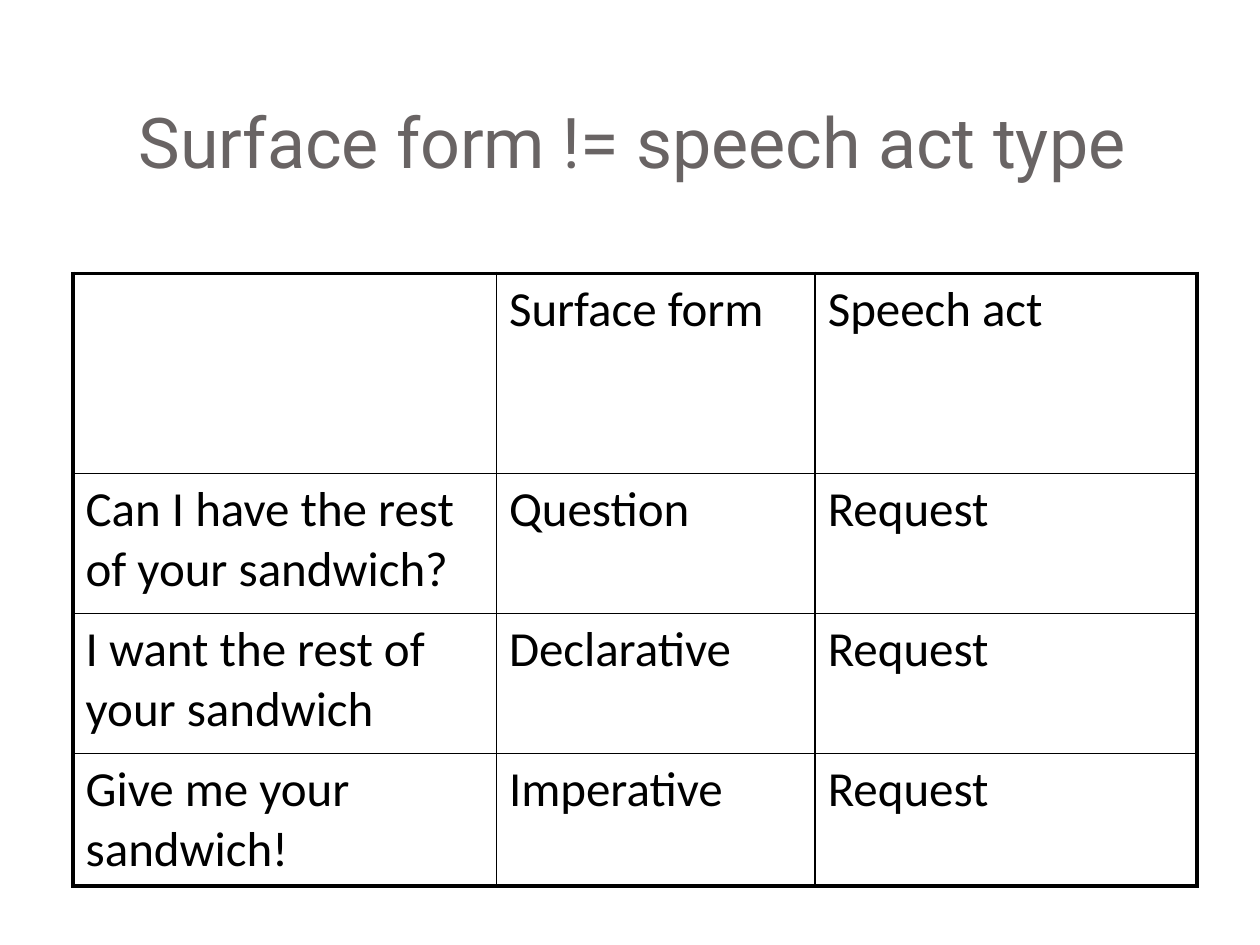
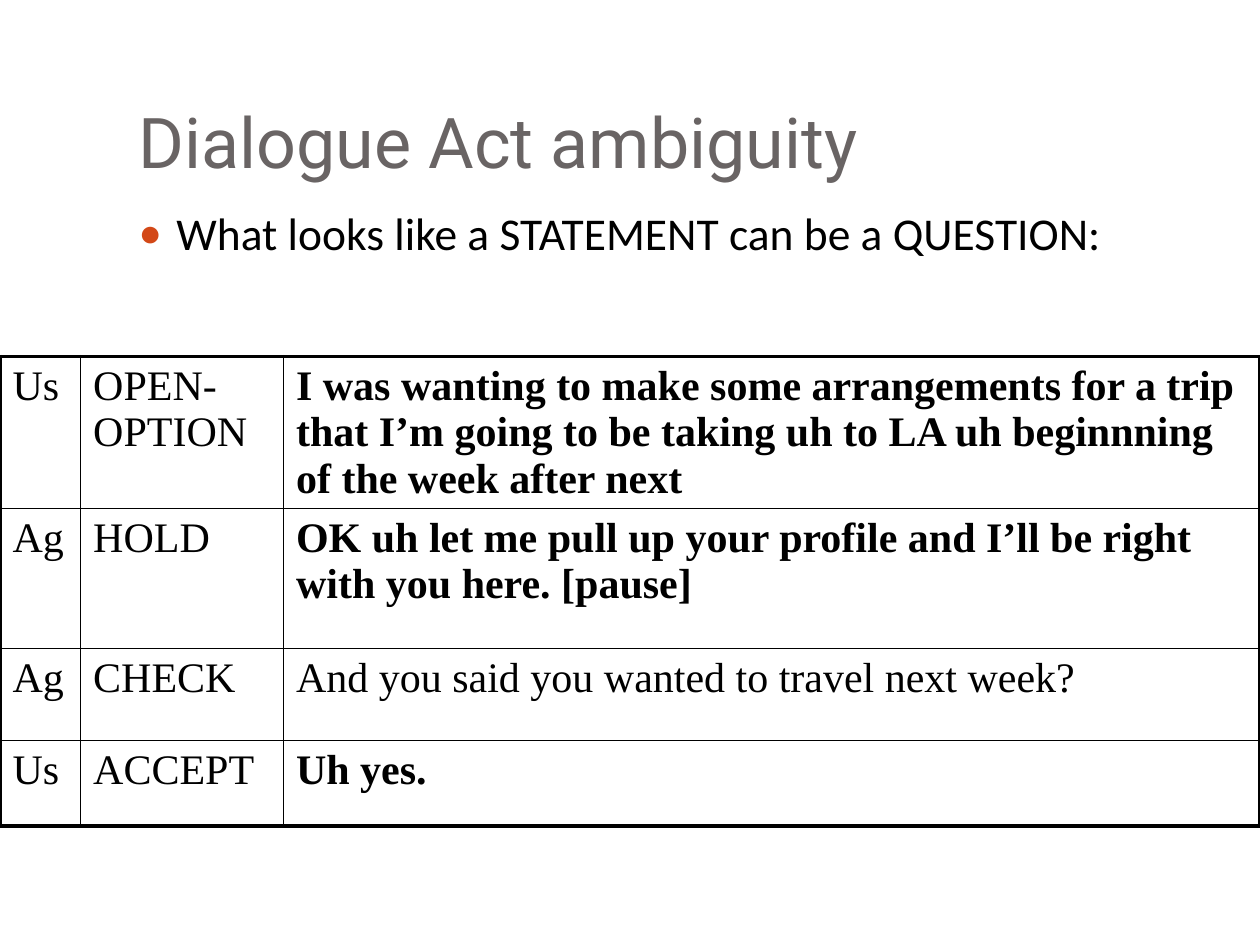
"""Build two slides on speech acts, each with a title and a ruled table."""
from lxml import etree
from pptx import Presentation
from pptx.dml.color import RGBColor
from pptx.enum.text import MSO_ANCHOR, MSO_AUTO_SIZE, PP_ALIGN
from pptx.oxml.ns import qn
from pptx.util import Inches, Pt

BLACK = RGBColor(0x00, 0x00, 0x00)
GREY = RGBColor(0x69, 0x64, 0x64)
ORANGE = RGBColor(0xD3, 0x48, 0x17)
TITLE_FONT, BODY_FONT, DIALOGUE_FONT = "Roboto", "Calibri", "Times New Roman"
LEFT, BOTTOM, NO_FIT = PP_ALIGN.LEFT, MSO_ANCHOR.BOTTOM, MSO_AUTO_SIZE.NONE
CONTENT_LAYOUT, TITLE_ONLY_LAYOUT = 1, 5
OUTER, INNER = Pt(2.25), Pt(1)

FORMS = {
    "title": "Surface form != speech act type",
    "at": (0.58, 2.17),
    "cols": (3.36, 2.53, 3.03),
    "row_heights": (1.59, 1.11, 1.11, 0.95),
    "font": (BODY_FONT, 28),
    "rows": [
        ("", "Surface form", "Speech act"),
        ("Can I have the rest of your sandwich?", "Question", "Request"),
        ("I want the rest of your sandwich", "Declarative", "Request"),
        ("Give me your sandwich!", "Imperative", "Request"),
    ],
    "bold": (),
}
DIALOGUE = {
    "title": "Dialogue Act ambiguity",
    "bullet": "What looks like a STATEMENT can be a QUESTION:",
    "at": (0, 2.83),
    "cols": (0.64, 1.61, 7.75),
    "row_heights": (1.11, 1.11, 0.73, 0.68),
    "font": (DIALOGUE_FONT, 24),
    "rows": [
        ("Us", "OPEN-OPTION",
         "I was wanting to make some arrangements for a trip that I’m going "
         "to be taking uh to LA uh beginnning of the week after next"),
        ("Ag", "HOLD",
         "OK uh let me pull up your profile and I’ll be right with you here. [pause]"),
        ("Ag", "CHECK", "And you said you wanted to travel next week?"),
        ("Us", "ACCEPT", "Uh yes."),
    ],
    "bold": ((0, 2), (1, 2), (3, 2)),
}


def add_run(p, text, font, size, color=BLACK, bold=False):
    r = p.add_run()
    r.text = text
    r.font.name, r.font.size, r.font.bold = font, Pt(size), bold
    r.font.color.rgb = color


def place(sp, left, top, width, height):
    sp.left, sp.top = Inches(left), Inches(top)
    sp.width, sp.height = Inches(width), Inches(height)
    tf = sp.text_frame
    tf.word_wrap, tf.auto_size = True, NO_FIT
    return tf


def add_title(slide, text):
    tf = place(slide.shapes.title, 1, 0.3, 8.5, 1.25)
    tf.vertical_anchor, tf.margin_bottom = BOTTOM, Inches(0.1)
    p = tf.paragraphs[0]
    p.alignment = LEFT
    add_run(p, text, TITLE_FONT, 40, GREY)


def add_bullet(slide, text):
    p = place(slide.placeholders[1], 1, 1.58, 8.5, 5).paragraphs[0]
    p.space_before = Pt(5.8)
    add_run(p, text, BODY_FONT, 26)
    pPr = p._p.get_or_add_pPr()
    pPr.set("marL", str(Inches(0.3)))
    pPr.set("indent", str(-Inches(0.3)))
    color = etree.SubElement(pPr, qn("a:buClr"))
    etree.SubElement(color, qn("a:srgbClr"), val=str(ORANGE))
    etree.SubElement(pPr, qn("a:buSzPct"), val="85000")
    etree.SubElement(pPr, qn("a:buChar"), char="●")


def set_borders(cell, edges):
    tcPr = cell._tc.get_or_add_tcPr()
    for side, on_edge in edges.items():
        ln = etree.SubElement(tcPr, qn(f"a:ln{side}"), w=str(OUTER if on_edge else INNER))
        fill = etree.SubElement(ln, qn("a:solidFill"))
        etree.SubElement(fill, qn("a:srgbClr"), val=str(BLACK))


def add_ruled_table(slide, content):
    rows, cols, heights = content["rows"], content["cols"], content["row_heights"]
    left, top = content["at"]
    table = slide.shapes.add_table(
        len(rows), len(cols), Inches(left), Inches(top),
        Inches(sum(cols)), Inches(sum(heights))).table
    table.first_row = table.horz_banding = False
    for column, width in zip(table.columns, cols):
        column.width = Inches(width)
    for row, height in zip(table.rows, heights):
        row.height = Inches(height)
    last_row, last_col = len(rows) - 1, len(cols) - 1
    for i, texts in enumerate(rows):
        for j, text in enumerate(texts):
            cell = table.cell(i, j)
            set_borders(cell, {"L": j == 0, "R": j == last_col,
                               "T": i == 0, "B": i == last_row})
            cell.fill.background()
            if text:
                add_run(cell.text_frame.paragraphs[0], text, *content["font"],
                        bold=(i, j) in content["bold"])


def main():
    prs = Presentation()
    prs.slide_width, prs.slide_height = Inches(10), Inches(7.5)
    for content in (FORMS, DIALOGUE):
        layout = CONTENT_LAYOUT if "bullet" in content else TITLE_ONLY_LAYOUT
        slide = prs.slides.add_slide(prs.slide_layouts[layout])
        add_title(slide, content["title"])
        if "bullet" in content:
            add_bullet(slide, content["bullet"])
        add_ruled_table(slide, content)
    prs.save("out.pptx")


if __name__ == "__main__":
    main()
